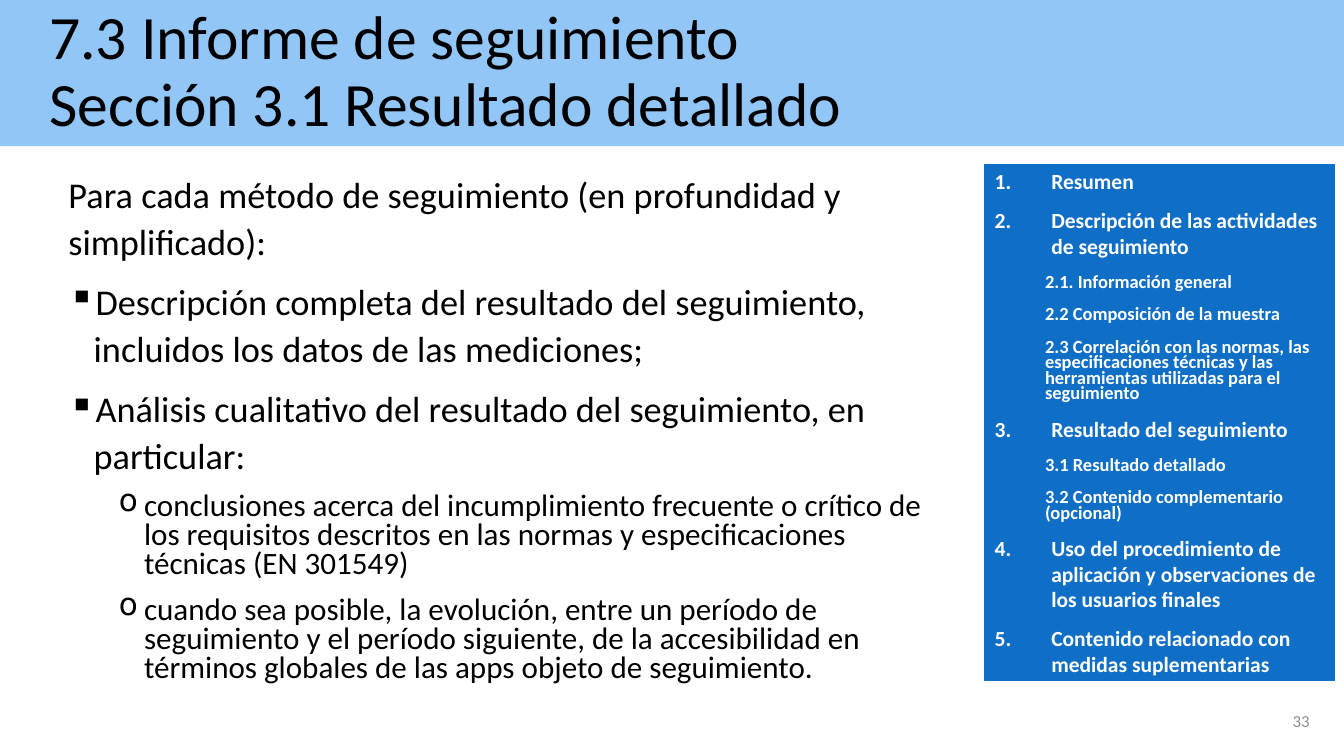
from lxml.etree import SubElement
from pptx import Presentation
from pptx.dml.color import RGBColor
from pptx.enum.shapes import MSO_SHAPE
from pptx.enum.text import MSO_ANCHOR, MSO_AUTO_SIZE, PP_ALIGN
from pptx.oxml.ns import qn
from pptx.util import Pt

TITLE = "7.3 Informe de seguimiento\vSección 3.1 Resultado detallado"
BODY = [
    ("intro", "Para cada método de seguimiento (en profundidad y simplificado):"),
    ("bullet", "Descripción completa del resultado del seguimiento, incluidos los datos de las mediciones;"),
    ("bullet", "Análisis cualitativo del resultado del seguimiento, en particular:"),
    ("detail", "conclusiones acerca del incumplimiento frecuente o crítico de los requisitos "
               "descritos en las normas y especificaciones técnicas (EN 301549)"),
    ("detail", "cuando sea posible, la evolución, entre un período de seguimiento y el período "
               "siguiente, de la accesibilidad en términos globales de las apps objeto de seguimiento."),
]
CONTENTS = [
    ("section", "Resumen"),
    ("section", "Descripción de las actividades de seguimiento"),
    ("subsection", "2.1. Información general"),
    ("subsection", "2.2 Composición de la muestra"),
    ("subsection", "2.3 Correlación con las normas, las especificaciones técnicas "
                   "y las herramientas utilizadas para el seguimiento"),
    ("section", "Resultado del seguimiento"),
    ("subsection", "3.1 Resultado detallado"),
    ("subsection", "3.2 Contenido complementario (opcional)"),
    ("section", "Uso del procedimiento de aplicación y observaciones de los usuarios finales"),
    ("section", "Contenido relacionado con medidas suplementarias"),
]
STYLES = {
    "intro": dict(size=25.9, spacing=1.07, before=10),
    "bullet": dict(size=25.9, spacing=1.07, before=10, left=18, indent=-18, char="▪"),
    "detail": dict(size=22.2, spacing=0.78, before=12, left=54, indent=-18, char="o", level=1),
    "section": dict(size=15.4, spacing=0.98, before=10, left=40.5, indent=-40.5,
                    number="arabicPeriod", bold=True),
    "subsection": dict(size=13.2, spacing=0.7, before=12, left=36, level=1, bold=True),
}


def rgb(value):
    return RGBColor.from_string(value)


def format_paragraph(p, size, color="000000", spacing=1.0, before=0, left=0, indent=0,
                     char=None, number=None, level=0, bold=False, align=PP_ALIGN.LEFT):
    p.alignment = align
    p.level = level
    p.line_spacing = spacing
    p.space_before = Pt(before)
    pPr = p._p.get_or_add_pPr()
    pPr.set("marL", str(Pt(left)))
    pPr.set("indent", str(Pt(indent)))
    if char:
        SubElement(pPr, qn("a:buChar"), char=char)
    elif number:
        SubElement(pPr, qn("a:buAutoNum"), type=number)
    else:
        SubElement(pPr, qn("a:buNone"))
    for r in p.runs:
        r.font.name = "Calibri"
        r.font.size = Pt(size)
        r.font.bold = bold
        r.font.color.rgb = rgb(color)


def fill_list(tf, items, color):
    tf.word_wrap = True
    tf.vertical_anchor = MSO_ANCHOR.TOP
    tf.text = "\n".join(text for _, text in items)
    for p, (style, _) in zip(tf.paragraphs, items):
        format_paragraph(p, color=color, **STYLES[style])


def add_title(s, x, y, w, h):
    sp = s.shapes.title
    sp.left, sp.top, sp.width, sp.height = Pt(x), Pt(y), Pt(w), Pt(h)
    sp.fill.solid()
    sp.fill.fore_color.rgb = rgb("91C6F7")
    tf = sp.text_frame
    tf.text = TITLE
    tf.word_wrap = True
    tf.auto_size = MSO_AUTO_SIZE.NONE
    tf.vertical_anchor = MSO_ANCHOR.MIDDLE
    format_paragraph(tf.paragraphs[0], 44, spacing=0.9, left=28)


def add_body(s, x, y, w, h):
    sp = s.shapes.add_textbox(Pt(x), Pt(y), Pt(w), Pt(h))
    fill_list(sp.text_frame, BODY, "000000")


def add_page_number(s, x, y, w, h):
    sp = s.shapes.add_textbox(Pt(x), Pt(y), Pt(w), Pt(h))
    tf = sp.text_frame
    tf.text = "33"
    tf.word_wrap = True
    tf.vertical_anchor = MSO_ANCHOR.MIDDLE
    format_paragraph(tf.paragraphs[0], 12, "8C8C8C", align=PP_ALIGN.RIGHT)


def add_contents(s, x, y, w, h):
    sp = s.shapes.add_shape(MSO_SHAPE.RECTANGLE, Pt(x), Pt(y), Pt(w), Pt(h))
    sp.shadow.inherit = False
    sp.fill.solid()
    sp.fill.fore_color.rgb = rgb("0F6FC6")
    sp.line.color.rgb = rgb("0F6FC6")
    sp.line.width = Pt(0.75)
    fill_list(sp.text_frame, CONTENTS, "FFFFFF")


def main():
    prs = Presentation()
    prs.slide_width, prs.slide_height = Pt(960), Pt(540)
    s = prs.slides.add_slide(prs.slide_layouts[5])
    add_title(s, 0, 0, 960, 104.4)
    add_body(s, 41.8, 117.4, 637.2, 395.3)
    add_page_number(s, 726.5, 500.4, 216, 28.8)
    add_contents(s, 703.4, 117.4, 249.8, 368.6)
    prs.save("out.pptx")


if __name__ == "__main__":
    main()
